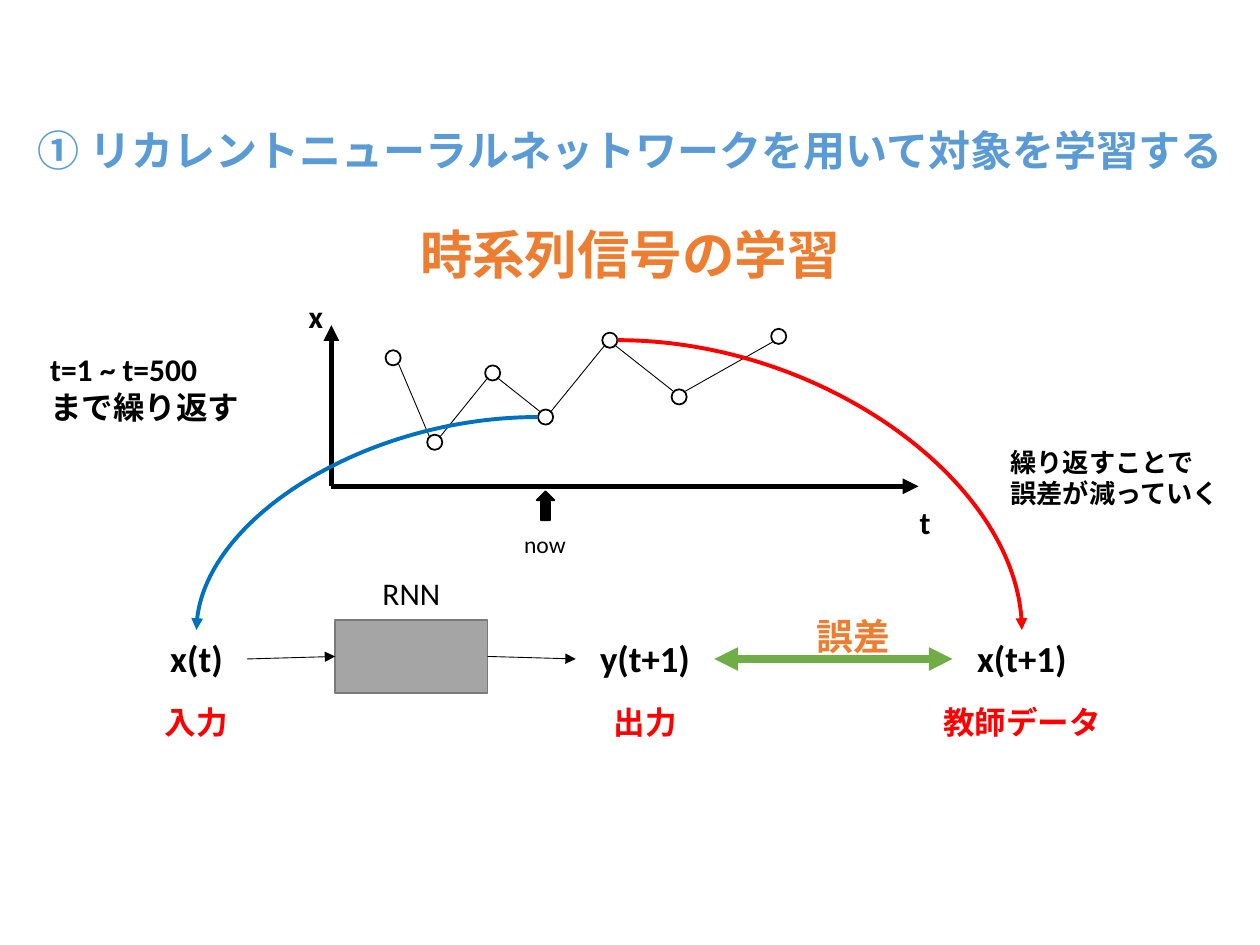
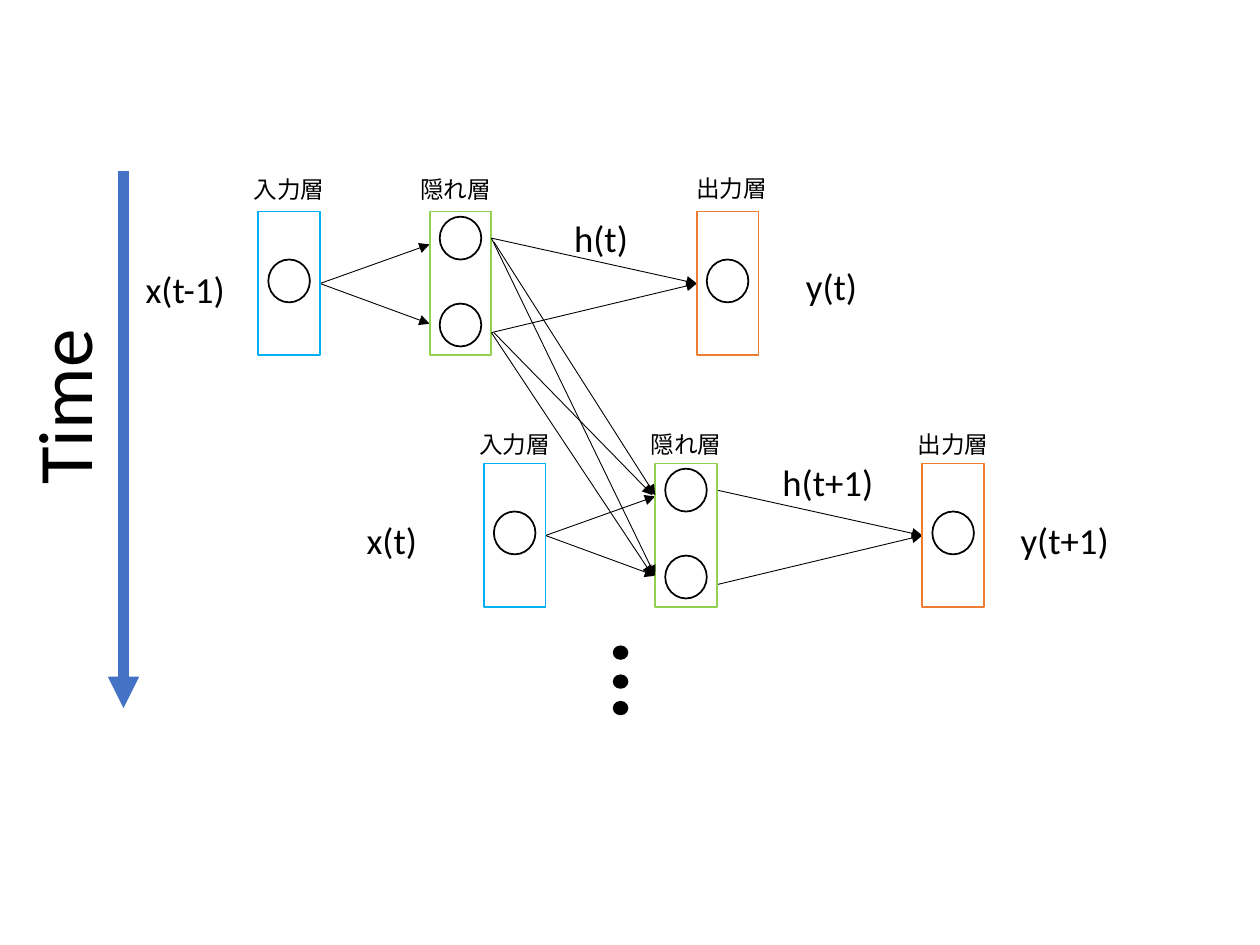
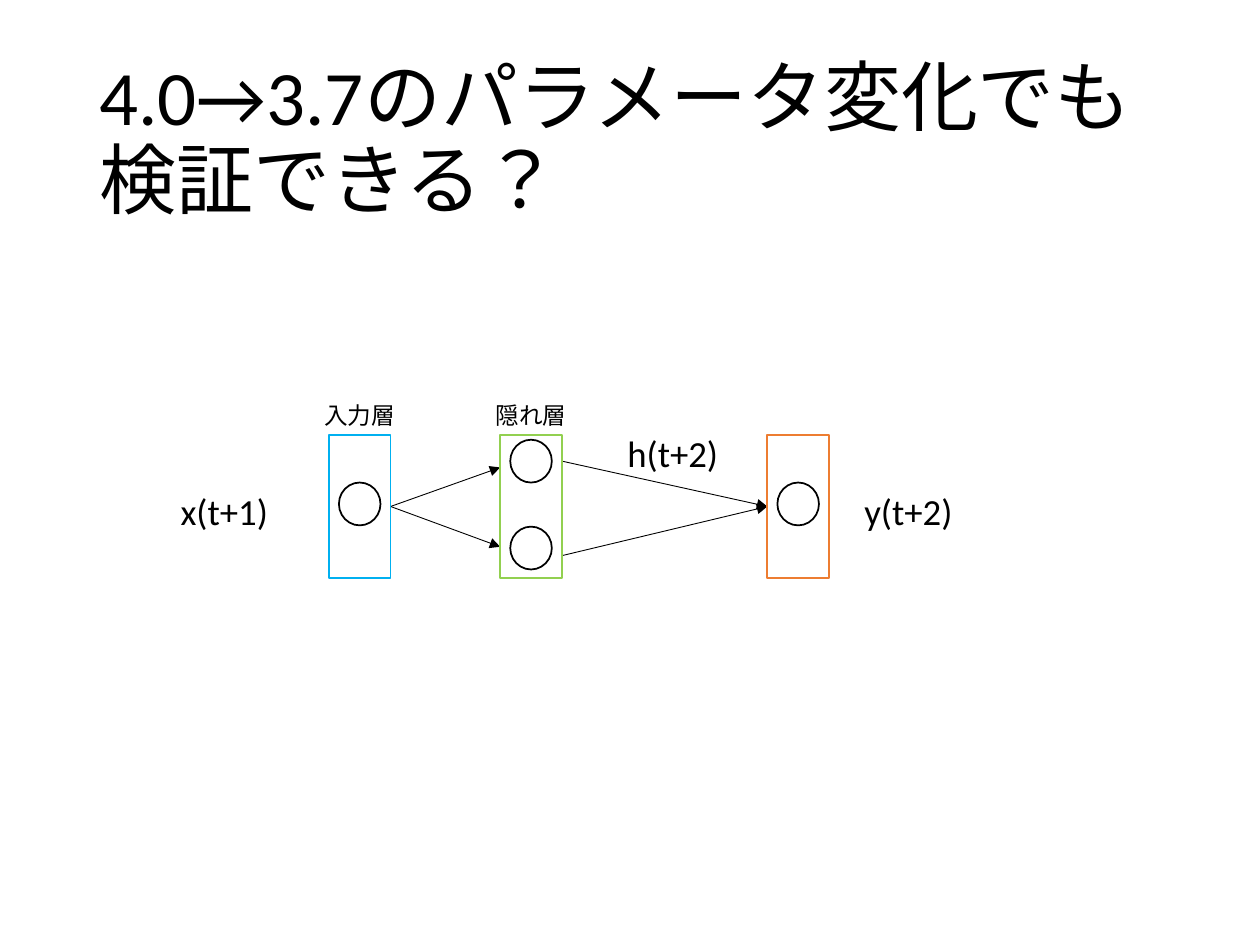
import itertools

import lxml.etree
import pptx
import pptx.dml.color
import pptx.enum.lang
import pptx.enum.shapes
import pptx.enum.text
import pptx.oxml.ns
import pptx.util

COLORS = {
    "black": "000000", "white": "FFFFFF", "red": "FF0000", "sky": "5B9BD5",
    "orange": "ED7D31", "blue": "0070C0", "gray": "A5A5A5", "edge": "7A7A7A",
    "green": "70AD47", "lime": "92D050", "cyan": "00B0F0", "time": "4472C4",
}
COLS, ROWS = 10, 7.5
SHAPES = pptx.enum.shapes.MSO_SHAPE
LINKS = pptx.enum.shapes.MSO_CONNECTOR
ALIGN = pptx.enum.text.PP_ALIGN
ANCHOR = pptx.enum.text.MSO_ANCHOR


def tint(name):
    return pptx.dml.color.RGBColor.from_string(COLORS[name])


def child(node, tag, **attrs):
    return lxml.etree.SubElement(node, pptx.oxml.ns.qn(tag), **attrs)


class Deck:
    font = "Calibri"

    def __init__(self):
        self.deck = pptx.Presentation()
        self.deck.slide_width = pptx.util.Inches(10)
        self.deck.slide_height = pptx.util.Inches(7.5)
        self.col = self.deck.slide_width / COLS
        self.row = self.deck.slide_height / ROWS

    def page(self):
        self.slide = self.deck.slides.add_slide(self.deck.slide_layouts[6])

    def place(self, x, y):
        return round(x * self.col), round(y * self.row)

    def text(self, text, x, y, w, h, size=21, color="black", bold=False, font=None,
             align=ALIGN.CENTER, anchor=ANCHOR.TOP, space=None, wrap=True, turn=0):
        box = self.slide.shapes.add_textbox(*self.place(x, y), *self.place(w, h))
        box.rotation = turn
        frame = box.text_frame
        frame.word_wrap = wrap
        frame.vertical_anchor = anchor
        for i, line in enumerate(text.split("\n")):
            para = frame.add_paragraph() if i else frame.paragraphs[0]
            para.alignment = align
            para.line_spacing = space
            run = para.add_run()
            run.text = line
            run.font.name = font or self.font
            run.font.size = pptx.util.Pt(size)
            run.font.bold = bold
            run.font.color.rgb = tint(color)
            run.font.language_id = pptx.enum.lang.MSO_LANGUAGE_ID.JAPANESE

    def title(self, text, y, h, **form):
        self.text(text, 0.69, y, 8.62, h, anchor=ANCHOR.MIDDLE, space=0.9, **form)

    def shape(self, kind, x, y, w, h, fill="white", line="black"):
        item = self.slide.shapes.add_shape(kind, *self.place(x, y), *self.place(w, h))
        item.shadow.inherit = False
        item.fill.solid()
        item.fill.fore_color.rgb = tint(fill)
        item.line.color.rgb = tint(line)
        item.line.width = pptx.util.Pt(1)

    def line(self, start, end, color="black", width=0.5, head=False, tail=True, curve=False):
        kind = LINKS.CURVE if curve else LINKS.STRAIGHT
        link = self.slide.shapes.add_connector(kind, *self.place(*start), *self.place(*end))
        link.line.color.rgb = tint(color)
        link.line.width = pptx.util.Pt(width)
        props = link._element.spPr
        if curve:
            props.find(pptx.oxml.ns.qn("a:prstGeom")).set("prst", "curvedConnector2")
        stroke = props.find(pptx.oxml.ns.qn("a:ln"))
        for tag, shown in (("a:headEnd", head), ("a:tailEnd", tail)):
            if shown:
                child(stroke, tag, type="triangle")
        child(props, "a:effectLst")

    def layer(self, x, y, color, nodes):
        self.shape(SHAPES.RECTANGLE, x, y, 0.49, 1.14, line=color)
        for drop in nodes:
            self.shape(SHAPES.OVAL, x + 0.08, y + drop, 0.33, 0.34)

    def net(self, x, y, heads):
        hide, out, mid = x + 1.36, x + 3.48, y + 0.57
        for drop in (0.26, 0.89):
            self.line((x + 0.49, mid), (hide, y + drop))
        for drop in (0.21, 0.96):
            self.line((hide + 0.49, y + drop), (out, mid))
        self.layer(hide, y, "lime", (0.04, 0.73))
        self.layer(out, y, "orange", (0.38,))
        self.layer(x, y, "cyan", (0.38,))
        for left, (name, shift, rise) in zip((x, hide, out), heads):
            self.text(name, left + shift - 0.25, y - rise, 0.99, 0.33, size=13.5)


def learn(deck):
    deck.page()
    deck.title("時系列信号の学習", 1.74, 0.6, size=30, color="orange", bold=True)
    deck.text("① リカレントニューラルネットワークを用いて対象を学習する", 0, 0.94, 10, 0.5,
              size=24, color="sky", bold=True, font="Arial")
    for end in ((2.63, 2.58), (7.29, 3.86)):
        deck.line((2.63, 3.86), end, width=3)
    dots = ((3.06, 2.78), (3.39, 3.45), (3.85, 2.9), (4.27, 3.25),
            (4.78, 2.64), (5.33, 3.09), (6.12, 2.61))
    for x, y in dots:
        deck.shape(SHAPES.FLOWCHART_CONNECTOR, x, y, 0.12, 0.12)
    for (x, y), (nx, ny) in itertools.pairwise(dots):
        near, far = (0.1, 0.02) if ny > y else (0.02, 0.1)
        deck.line((x + 0.1, y + near), (nx + 0.02, ny + far), tail=False)
    for name, x, y in (("x", 2.35, 2.31), ("t", 7.2, 3.94)):
        deck.text(name, x, y, 0.28, 0.4, size=18, bold=True)
    deck.line((4.9, 2.7), (8.11, 5), color="red", width=2.25, curve=True)
    deck.line((4.27, 3.31), (1.56, 5), color="blue", width=2.25, curve=True)
    for name, role, mid in (("x(t)", "入力", 1.56), ("y(t+1)", "出力", 5.12),
                            ("x(t+1)", "教師データ", 8.11)):
        deck.text(name, mid - 0.55, 5, 1.1, 0.45, bold=True)
        deck.text(role, mid - 0.73, 5.53, 1.46, 0.4, size=18, color="red",
                  bold=True, wrap=False)
    deck.shape(SHAPES.RECTANGLE, 2.66, 4.92, 1.21, 0.58, fill="gray", line="edge")
    deck.line((1.96, 5.23), (2.66, 5.21))
    deck.line((3.87, 5.21), (4.57, 5.23))
    deck.text("RNN", 2.76, 4.51, 1.01, 0.4, size=18)
    deck.line((5.67, 5.23), (7.56, 5.23), color="green", width=4.5, head=True)
    deck.text("誤差", 6.38, 4.82, 0.79, 0.45, color="orange", bold=True)
    deck.text("t=1 ~ t=500\nまで繰り返す", 0.3, 2.73, 1.8, 0.71, size=18, bold=True,
              align=ALIGN.LEFT)
    deck.text("繰り返すことで\n誤差が減っていく", 7.92, 3.49, 1.92, 0.61, size=15, bold=True,
              align=ALIGN.LEFT)
    deck.shape(SHAPES.UP_ARROW, 4.26, 3.9, 0.14, 0.23, fill="black")
    deck.text("now", 4.06, 4.16, 0.53, 0.56, size=13.5)


def unfold(deck):
    deck.page()
    deck.net(2.05, 1.68, (("入力層", 0, 0.34), ("隠れ層", -0.04, 0.34), ("出力層", 0.03, 0.35)))
    deck.net(3.84, 3.68, [(name, 0, 0.32) for name in ("入力層", "隠れ層", "出力層")])
    for start, end in (((3.92, 1.92), (5.2, 3.93)), ((3.92, 2.64), (5.18, 3.93)),
                       ((3.9, 1.89), (5.2, 4.57)), ((3.9, 2.64), (5.18, 4.57))):
        deck.line(start, end)
    for name, x, y in (("x(t-1)", 0.94, 2.07), ("x(t)", 2.58, 4.06), ("y(t)", 6.07, 2.04),
                       ("y(t+1)", 7.92, 4.06), ("h(t)", 4.24, 1.66), ("h(t+1)", 6.04, 3.6)):
        deck.text(name, x, y, 1.06, 0.45)
    deck.line((0.98, 1.36), (0.98, 5.62), color="time", width=6)
    deck.text("Time", -0.38, 2.81, 1.75, 0.84, size=44, turn=270)
    for y in (5.13, 5.36, 5.57):
        deck.shape(SHAPES.OVAL, 4.87, y, 0.11, 0.1, fill="black")


def verify(deck):
    deck.page()
    deck.title("4.0→3.7のパラメータ変化でも検証できる？", 0.4, 1.45, size=44, align=ALIGN.LEFT)
    deck.net(2.61, 3.45, (("入力層", 0, 0.32), ("隠れ層", 0, 0.32)))
    for name, x, y in (("x(t+1)", 1.25, 3.83), ("y(t+2)", 6.68, 3.83), ("h(t+2)", 4.81, 3.37)):
        deck.text(name, x, y, 1.06, 0.45)


def main():
    deck = Deck()
    for build in (learn, unfold, verify):
        build(deck)
    deck.deck.save("out.pptx")


if __name__ == "__main__":
    main()
